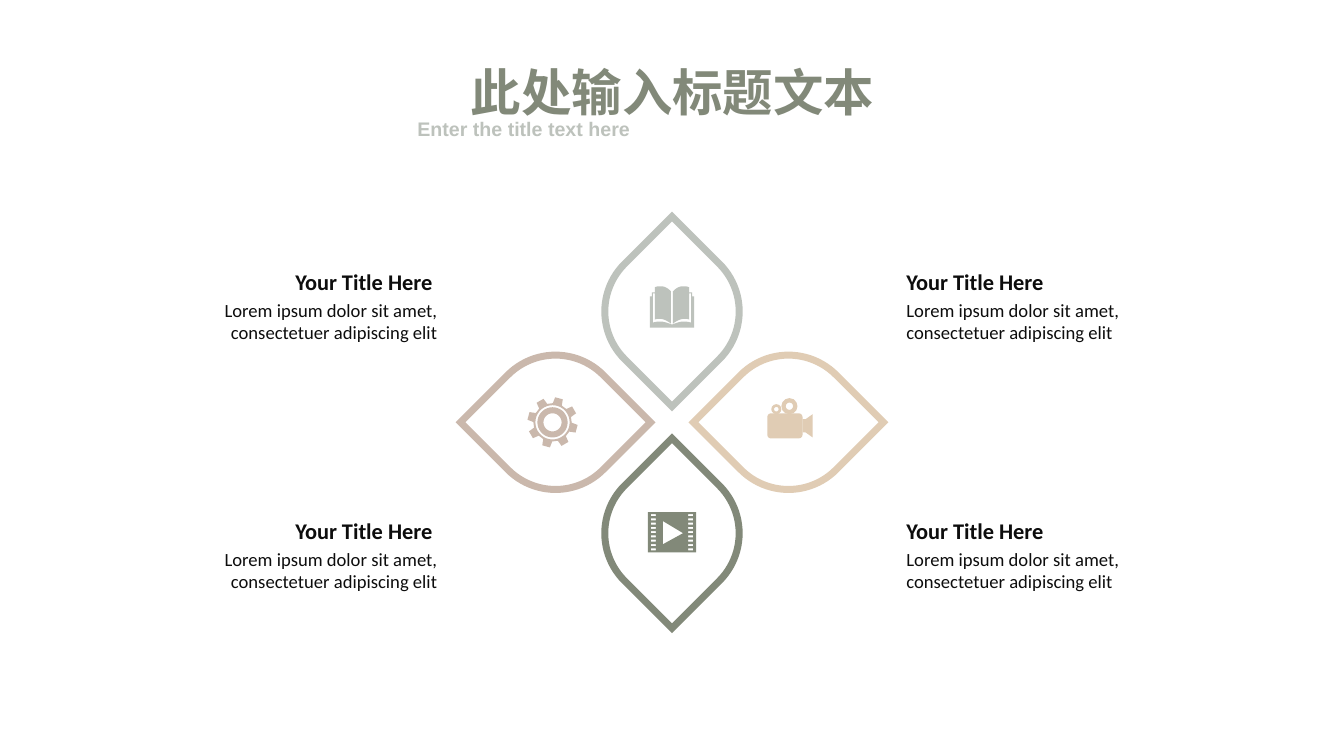
from math import cos, radians, sin

from lxml.etree import SubElement
from pptx import Presentation
from pptx.dml.color import RGBColor
from pptx.enum.lang import MSO_LANGUAGE_ID as Lang
from pptx.enum.shapes import MSO_SHAPE as Preset
from pptx.enum.text import MSO_ANCHOR as Anchor, MSO_AUTO_SIZE as AutoSize, PP_ALIGN as Align
from pptx.oxml.ns import qn
from pptx.util import Inches, Pt

WIDTH, HEIGHT = 13.33, 7.5
COLORS = {"sage": "828979", "mist": "BDC2BC", "clay": "CAB8AC", "sand": "E0CCB4", "ink": "0D0D0D"}


def rgb(name):
    return RGBColor.from_string(COLORS[name])


def add_run(paragraph, words, size, color, bold=True, font="Calibri"):
    run = paragraph.add_run()
    run.text = words
    run.font.name, run.font.size, run.font.bold = font, Pt(size), bold
    run.font.color.rgb = rgb(color)
    return run


def paint(shape, color):
    shape.shadow.inherit = False
    shape.fill.solid()
    shape.fill.fore_color.rgb = rgb(color)
    shape.line.fill.background()


def add_preset(slide, preset, left, top, width, height, color, adjust):
    shape = slide.shapes.add_shape(preset, *map(Inches, (left, top, width, height)))
    shape.adjustments[0] = adjust
    paint(shape, color)


def add_outline(slide, x, y, contours, color):
    """Fill closed contours, given relative to (x, y); inner contours become holes."""
    placed = [[(Inches(x + px), Inches(y + py)) for px, py in contour] for contour in contours]
    builder = slide.shapes.build_freeform(*placed[0][0])
    for index, contour in enumerate(placed):
        if index:
            builder.move_to(*contour[0])
        builder.add_line_segments(contour[1:], close=True)
    paint(builder.convert_to_shape(), color)


def polar(radius, degrees):
    return radius * cos(radians(degrees)), radius * sin(radians(degrees))


def curve(*controls, steps=10):
    """Points along a cubic Bezier."""
    a, b, c, d = controls
    ts = [i / steps for i in range(steps + 1)]
    return [tuple((1 - t) ** 3 * a[k] + 3 * t * (1 - t) ** 2 * b[k]
                  + 3 * t * t * (1 - t) * c[k] + t ** 3 * d[k] for k in (0, 1)) for t in ts]


def rectangle(left, top, width, height):
    right, bottom = left + width, top + height
    return [(left, top), (right, top), (right, bottom), (left, bottom)]


def book_icon(slide, x, y, color):
    page = (curve((0.01, 0.05), (0.04, 0.02), (0.07, 0), (0.11, 0))
            + curve((0.11, 0), (0.13, 0), (0.15, 0), (0.17, 0.01))
            + curve((0.17, 0.33), (0.12, 0.31), (0.06, 0.33), (0.01, 0.37)))
    cover = curve((0, 0.38), (0.08, 0.35), (0.11, 0.34), (0.19, 0.36)) + [
        (0.19, 0.07), (0.17, 0.07), (0.17, 0.06), (0.2, 0.06), (0.2, 0.1),
        (0.22, 0.1), (0.22, 0.41), (0, 0.41)]
    halves = [[(side * px, py) for px, py in part] for side in (-1, 1) for part in (page, cover)]
    add_outline(slide, x, y - 0.25, halves, color)


def gear_icon(slide, x, y, color):
    teeth = [polar(radius, 45 * tooth - 30 + turn) for tooth in range(8)
             for radius, turn in ((0.19, -14), (0.25, -9), (0.25, 9), (0.19, 14))]
    rings = [[polar(radius, angle) for angle in range(0, 360, 10)] for radius in (0.17, 0.15, 0.09)]
    add_outline(slide, x - 0.03, y, [teeth] + rings, color)


def camera_icon(slide, x, y, color):
    left, top = x - 0.21, y - 0.24
    add_preset(slide, Preset.ROUNDED_RECTANGLE, left, top + 0.15, 0.35, 0.25, color, 0.15)
    for reel_x, reel_y, radius in ((0.09, 0.11, 0.05), (0.22, 0.08, 0.08)):
        add_preset(slide, Preset.DONUT, left + reel_x - radius, top + reel_y - radius,
                   2 * radius, 2 * radius, color, 0.27)
    lens = [(0.35, 0.21), (0.38, 0.21), (0.45, 0.16), (0.45, 0.39), (0.38, 0.34), (0.35, 0.34)]
    add_outline(slide, left, top, [lens], color)


def film_icon(slide, x, y, color):
    perforations = [rectangle(column, 0.02 + 0.34 * row / 8, 0.05, 0.02)
                    for column in (0.03, 0.4) for row in range(9)]
    play = [(0.15, 0.09), (0.35, 0.21), (0.15, 0.32)]
    add_outline(slide, x - 0.24, y - 0.21, [rectangle(0, 0, 0.48, 0.4), play] + perforations, color)


def add_petal(slide, x, y, rotation, color, icon):
    side = 0.1 * WIDTH
    petal = slide.shapes.add_shape(Preset.ROUND_2_DIAG_RECTANGLE, Inches(x - side / 2),
                                   Inches(y - side / 2), Inches(side), Inches(side))
    petal.adjustments[0] = 0.5
    petal.rotation = rotation
    petal.shadow.inherit = False
    petal.fill.background()
    petal.line.color.rgb = rgb(color)
    petal.line.width = Pt(5)
    SubElement(petal.line._get_or_add_ln(), qn("a:miter"), lim="800000")
    icon(slide, x, y, color)


def add_flower(slide, x, y):
    reach_x, reach_y = 1.155, 1.1
    add_petal(slide, x, y - reach_y, 135, "mist", book_icon)
    add_petal(slide, x - reach_x, y, 45, "clay", gear_icon)
    add_petal(slide, x, y + reach_y, 315, "sage", film_icon)
    add_petal(slide, x + reach_x, y, 45, "sand", camera_icon)


def add_heading(slide):
    title = slide.shapes.title
    title.left, title.top, title.width, title.height = map(Inches, (4.55, 0.56, 4.24, 0.71))
    frame = title.text_frame
    frame.word_wrap, frame.auto_size = False, AutoSize.NONE
    frame.vertical_anchor = Anchor.TOP
    heading = frame.paragraphs[0]
    heading.alignment = Align.CENTER
    add_run(heading, "此处输入标题文本", 36, "sage").font.language_id = Lang.SIMPLIFIED_CHINESE

    subtitle = slide.shapes.add_textbox(*map(Inches, (4.04, 1.11, 5.25, 0.34))).text_frame
    subtitle.word_wrap = True
    subtitle.paragraphs[0].alignment = Align.JUSTIFY
    add_run(subtitle.paragraphs[0], "Enter the title text here", 14, "mist", font="Arial")


def add_caption(slide, left, top, title, alignment):
    frame = slide.shapes.add_textbox(*map(Inches, (left, top, 0.18 * WIDTH, 0.76))).text_frame
    frame.word_wrap = True
    frame.margin_left = frame.margin_right = frame.margin_top = frame.margin_bottom = 0
    heading, body = frame.paragraphs[0], frame.add_paragraph()
    heading.alignment = body.alignment = alignment
    body.space_before = Pt(2.7)
    add_run(heading, title, 16, "ink")
    add_run(body, "Lorem ipsum dolor sit amet, consectetuer adipiscing elit", 13.3, "ink", bold=False)


def main():
    deck = Presentation()
    deck.slide_width, deck.slide_height = Inches(WIDTH), Inches(HEIGHT)
    slide = deck.slides.add_slide(deck.slide_layouts[5])
    add_heading(slide)
    add_flower(slide, WIDTH / 2, 4.19)
    for top in (2.66, 5.13):
        add_caption(slide, 8.99, top, "Your Title Here", Align.LEFT)
        add_caption(slide, 1.94, top, "Your Title Here ", Align.RIGHT)
    deck.save("out.pptx")


if __name__ == "__main__":
    main()
